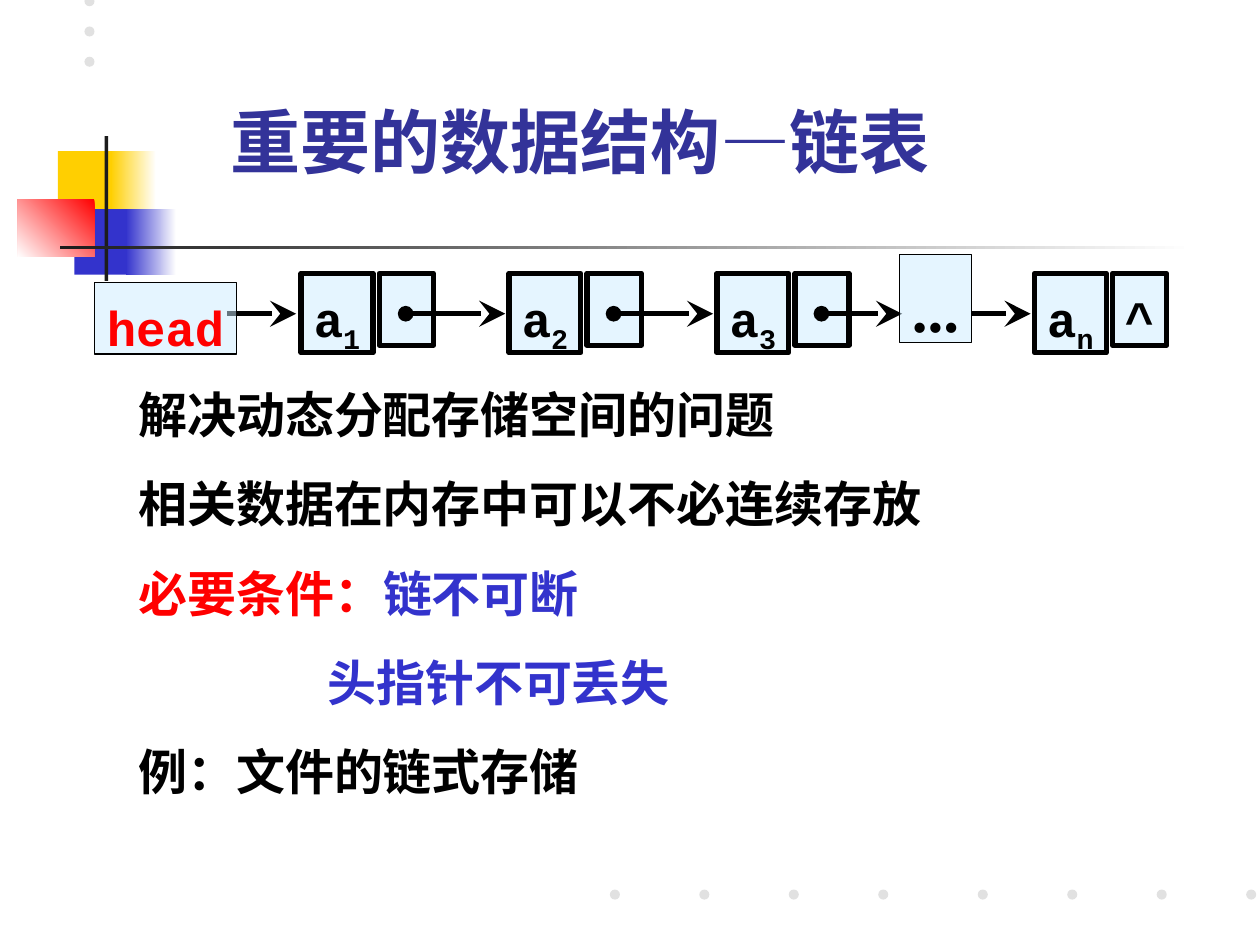
import pptx
import pptx.dml.color
import pptx.enum.shapes
import pptx.enum.text
import pptx.oxml.ns
import pptx.util
from lxml import etree

Inches = pptx.util.Inches
Pt = pptx.util.Pt
SHAPES = pptx.enum.shapes.MSO_SHAPE
ALIGN = pptx.enum.text.PP_ALIGN
ANCHOR = pptx.enum.text.MSO_ANCHOR
qn = pptx.oxml.ns.qn

COLORS = {
    "white": "FFFFFF", "yellow": "FFCF01", "blue": "3333CC", "red": "FF0000",
    "dark": "1C1C1C", "dot": "E1E1E1", "title": "333399", "black": "000000",
    "cell": "CCECFF",
}
NODE_TOP = 2.17
FIRST_NODE_LEFT = 2.39
NODE_STEP = 1.65
LINK_Y = 2.49


def rgb(name):
    return pptx.dml.color.RGBColor.from_string(COLORS[name])


def add_run(paragraph, text, *, size=28, color="black", font="Courier New", baseline=None):
    run = paragraph.add_run()
    run.text = text
    run.font.size = Pt(size)
    run.font.bold = True
    run.font.name = font
    run.font.color.rgb = rgb(color)
    if baseline:
        run.font._element.set("baseline", str(baseline * 1000))


def add_block(slide, left, top, width, height, color, shape=SHAPES.RECTANGLE):
    block = slide.shapes.add_shape(
        shape, Inches(left), Inches(top), Inches(width), Inches(height))
    block.shadow.inherit = False
    block.line.fill.background()
    block.fill.solid()
    block.fill.fore_color.rgb = rgb(color)
    return block


def add_fade(slide, left, top, width, height, start, end, angle=180):
    fade = add_block(slide, left, top, width, height, start)
    fade.fill.gradient()
    fade.fill.gradient_angle = angle
    for stop, color, position in zip(fade.fill.gradient_stops, (start, end), (0, 1)):
        stop.color.rgb = rgb(color)
        stop.position = position


def add_cell(slide, left, top, width, height, text="", subscript="", border=3, **text_format):
    """Half-transparent list cell with an optional label and subscript."""
    cell = add_block(slide, left, top, width, height, "cell")
    tint = cell.fill._xPr.find(qn("a:solidFill"))[0]
    etree.SubElement(tint, qn("a:alpha")).set("val", "50000")
    cell.line.color.rgb = rgb("black")
    cell.line.width = Pt(border)
    frame = cell.text_frame
    frame.word_wrap = False
    frame.vertical_anchor = ANCHOR.TOP
    frame.margin_top = Inches(0.12)
    label = frame.paragraphs[0]
    label.alignment = ALIGN.CENTER
    if text:
        add_run(label, text, **text_format)
    if subscript:
        add_run(label, subscript, baseline=-25, **text_format)


def add_data_cell(slide, left, subscript):
    add_cell(slide, left, NODE_TOP, 0.57, 0.63, "a", subscript)


def add_pointer_cell(slide, node_left, text=""):
    add_cell(slide, node_left + 0.62, NODE_TOP, 0.43, 0.57, text)


def add_link(slide, start, end, from_pointer=False):
    link = slide.shapes.add_connector(
        pptx.enum.shapes.MSO_CONNECTOR.STRAIGHT,
        Inches(start), Inches(LINK_Y), Inches(end), Inches(LINK_Y))
    link.line.color.rgb = rgb("black")
    link.line.width = Pt(3)
    outline = link.line._get_or_add_ln()
    if from_pointer:
        etree.SubElement(outline, qn("a:headEnd"), type="oval", w="med", len="med")
    etree.SubElement(outline, qn("a:tailEnd"), type="stealth", w="lg", len="lg")
    etree.SubElement(link._element.spPr, qn("a:effectLst"))


def add_text_box(slide, left, top, width, height, anchor=ANCHOR.TOP):
    box = slide.shapes.add_textbox(Inches(left), Inches(top), Inches(width), Inches(height))
    frame = box.text_frame
    frame.word_wrap = True
    frame.vertical_anchor = anchor
    return frame


def add_decoration(slide):
    add_block(slide, 0.46, 1.2, 0.48, 0.52, "yellow")
    add_fade(slide, 0.88, 1.2, 0.36, 0.52, "white", "yellow")
    add_block(slide, 0.59, 1.66, 0.46, 0.52, "blue")
    add_fade(slide, 1, 1.66, 0.4, 0.52, "white", "blue")
    add_fade(slide, 0.14, 1.58, 0.61, 0.46, "red", "white", angle=225)
    add_block(slide, 0.83, 1.08, 0.03, 1.15, "dark")
    add_fade(slide, 0.48, 1.95, 9, 0.03, "white", "dark")
    column = [(0.67, -0.03 + 0.24 * i) for i in range(3)]
    row = [(start + 0.71 * i, 7.06) for start in (4.84, 7.76) for i in range(4)]
    for left, top in column + row:
        add_block(slide, left, top, 0.08, 0.08, "dot", SHAPES.OVAL)


def add_title(slide):
    frame = add_text_box(slide, 1.48, 0.25, 8.52, 1.25, ANCHOR.BOTTOM)
    frame.margin_left = Inches(0.35)
    add_run(frame.paragraphs[0], "重要的数据结构—链表", size=40, color="title", font="Karla")


def add_linked_list(slide):
    node_lefts = [FIRST_NODE_LEFT + NODE_STEP * i for i in range(3)]
    for number, left in enumerate(node_lefts, start=1):
        add_data_cell(slide, left, str(number))
        add_pointer_cell(slide, left)
    for left, end in zip(node_lefts, (4.01, 5.66, 7.16)):
        add_link(slide, left + 0.83, end, from_pointer=True)
    add_link(slide, 7.71, 8.18)
    add_cell(slide, 7.14, 2.02, 0.57, 0.7, "...", border=0.75,
             size=36, font="Times New Roman")
    add_data_cell(slide, 8.21, "n")
    add_pointer_cell(slide, 8.21, "^")
    add_link(slide, 1.8, 2.35)
    add_cell(slide, 0.75, 2.24, 1.13, 0.57, "head", border=0.75, color="red")


def add_points(slide):
    points = [
        (0, [("解决动态分配存储空间的问题", "black")]),
        (0, [("相关数据在内存中可以不必连续存放", "black")]),
        (0, [("必要条件：", "red"), ("链不可断", "blue")]),
        (1.5, [("头指针不可丢失", "blue")]),
        (0, [("例：文件的链式存储", "black")]),
    ]
    frame = add_text_box(slide, 1, 3, 8.33, 3.41)
    for index, (indent, parts) in enumerate(points):
        point = frame.add_paragraph() if index else frame.paragraphs[0]
        if index:
            point.space_before = Pt(17.5)
        if indent:
            point._p.get_or_add_pPr().set("marL", str(Inches(indent)))
        for text, color in parts:
            add_run(point, text, color=color, font="Karla")


def main():
    deck = pptx.Presentation()
    deck.slide_width = Inches(10)
    deck.slide_height = Inches(7.5)
    slide = deck.slides.add_slide(deck.slide_layouts[6])
    add_decoration(slide)
    add_title(slide)
    add_linked_list(slide)
    add_points(slide)
    deck.save("out.pptx")


if __name__ == "__main__":
    main()
